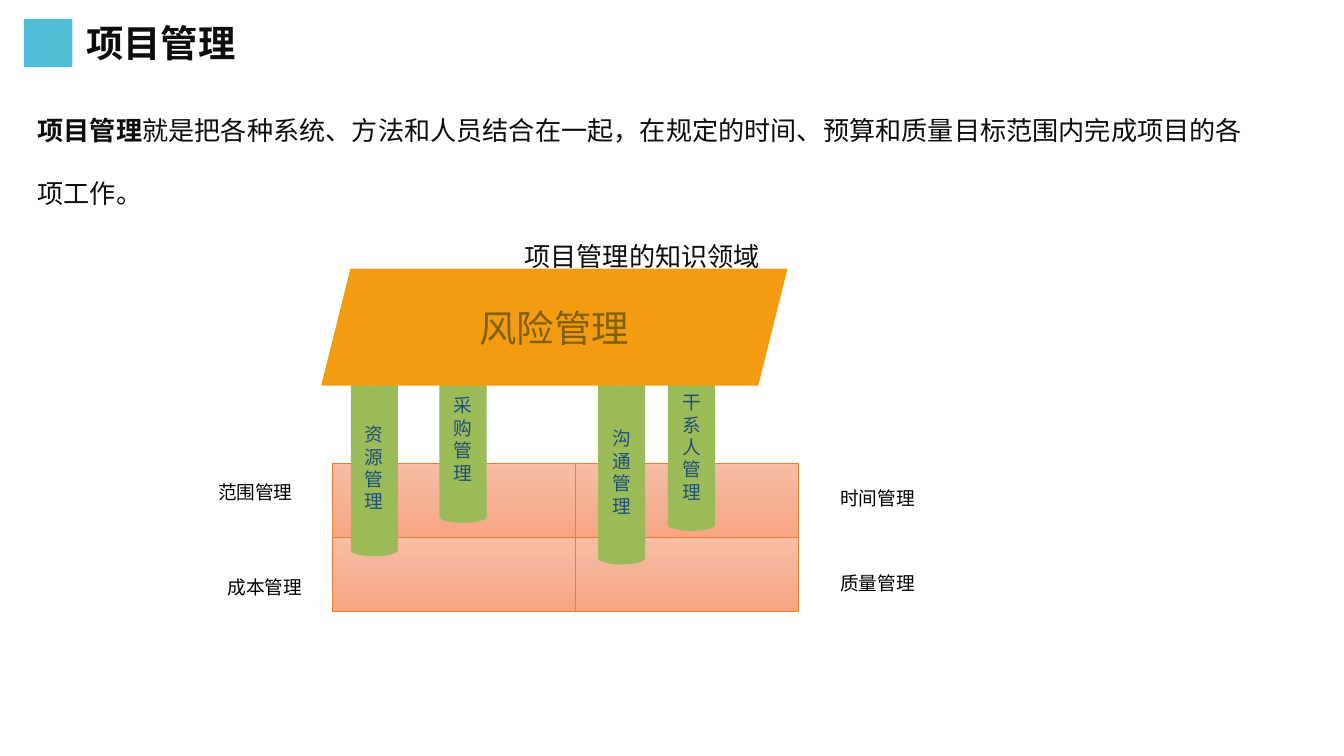
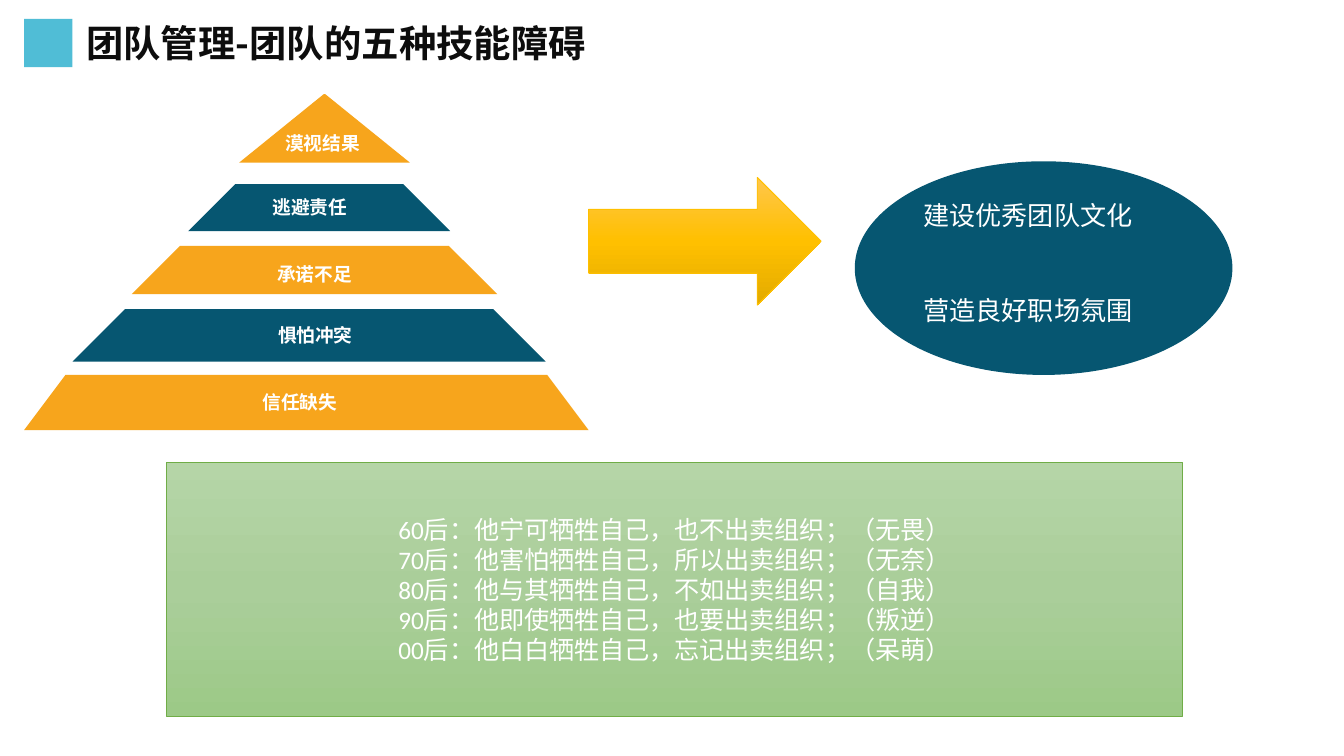
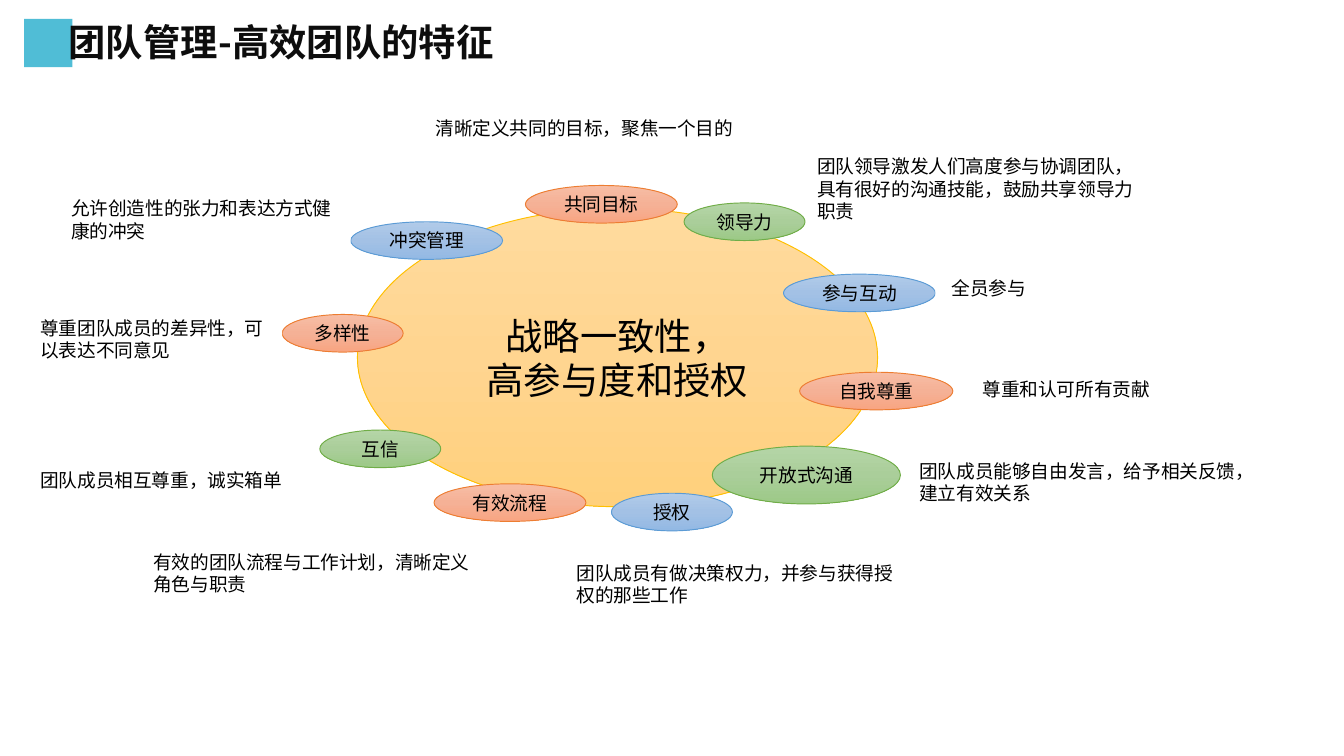
"""Build three slides on project management and team management."""
from copy import deepcopy

from lxml import etree
from pptx import Presentation
from pptx.dml.color import RGBColor
from pptx.enum import shapes, text
from pptx.oxml.ns import qn
from pptx.util import Inches, Pt

SHAPE = shapes.MSO_SHAPE
ALIGN = text.PP_ALIGN
ANCHOR = text.MSO_ANCHOR
CJK_FONT = "Noto Sans CJK SC"
INK, BLACK, WHITE = "0D0D0D", "000000", "FFFFFF"
TEAL, AMBER, ROOF, PILLAR = "065671", "F7A51C", "F39C12", "9BBB59"
GRADIENTS = {
    "orange": (("F7BDA5", "F5B196", "F8A582"), "ED7D31"),
    "green": (("B5D5A7", "AACE9A", "9CC987"), "70AD47"),
    "blue": (("B1CBE9", "A3C1E5", "93B9E4"), "5B9BD5"),
    "gold": (("FFC64B", "FFC000", "E3AB00"), "FFC000"),
    "pale gold": (("FFDB9E", "FFD590", "FFD07C"), "FFC000"),
}


def rgb(value):
    """Turn a hex string into a colour."""
    return RGBColor.from_string(value)


def place(shape, box):
    """Move and size a shape from left, top, width and height in inches."""
    for name, value in zip(("left", "top", "width", "height"), box):
        setattr(shape, name, Inches(value))


def format_run(run, color, font_name=CJK_FONT, **formats):
    """Apply font values and the East Asian typeface to a run."""
    for name, value in {"name": font_name, **formats}.items():
        setattr(run.font, name, value)
    run.font.color.rgb = rgb(color)
    latin = run.font._element.find(qn("a:latin"))
    east_asian = etree.Element(qn("a:ea"), typeface=CJK_FONT)
    latin.addnext(east_asian)


def write(frame, lines, size=10, color=BLACK, bold=False, align=ALIGN.CENTER,
          anchor=ANCHOR.MIDDLE, gap=0, font_name=CJK_FONT):
    """Write each line as a paragraph, with a gap in points between them."""
    frame_formats = {"word_wrap": True, "vertical_anchor": anchor,
                     "auto_size": text.MSO_AUTO_SIZE.NONE}
    for name, value in frame_formats.items():
        setattr(frame, name, value)
    for index, line in enumerate(lines):
        paragraph = frame.add_paragraph() if index else frame.paragraphs[0]
        paragraph.alignment = align
        paragraph.space_before = Pt(gap if index else 0)
        run = paragraph.add_run()
        run.text = line
        format_run(run, color, font_name, size=Pt(size), bold=bold)


def paint(shape, fill):
    """Fill a shape with a named gradient and outline, or a plain colour."""
    shape.shadow.inherit = False
    if fill not in GRADIENTS:
        shape.fill.solid()
        shape.fill.fore_color.rgb = rgb(fill)
        shape.line.fill.background()
        return
    colors, line_color = GRADIENTS[fill]
    shape.fill.gradient()
    shape.fill.gradient_angle = 270
    stops = shape.element.spPr.find(".//" + qn("a:gsLst"))
    stops.insert(1, deepcopy(stops[0]))
    for index, (stop, color) in enumerate(zip(shape.fill.gradient_stops, colors)):
        stop.position = index / 2
        stop.color.rgb = rgb(color)
    shape.line.color.rgb = rgb(line_color)
    shape.line.width = Pt(0.5)


def add_block(slide, kind, box, fill, lines=(), adjustment=None, **formats):
    """Add a filled preset shape with optional text."""
    shape = slide.shapes.add_shape(kind, *map(Inches, box))
    paint(shape, fill)
    if adjustment is not None:
        shape.adjustments[0] = adjustment
    if lines:
        write(shape.text_frame, lines, **formats)
    return shape


def add_trapezoid(slide, box, inset, fill):
    """Add a pyramid layer whose top edge is inset on both sides."""
    left, top, width, height = box
    right, bottom = left + width, top + height
    corners = [(left + inset, top), (right - inset, top), (right, bottom), (left, bottom)]
    points = [(Inches(x), Inches(y)) for x, y in corners]
    builder = slide.shapes.build_freeform(*points[0])
    builder.add_line_segments(points[1:])
    paint(builder.convert_to_shape(), fill)


def add_label(slide, box, line):
    """Add a bold white caption."""
    label = slide.shapes.add_textbox(*map(Inches, box))
    write(label.text_frame, [line], color=WHITE, bold=True, anchor=ANCHOR.TOP)


def add_titled_slide(presentation, title, layout=5, left=0.54, top=0.1):
    """Add a slide with the blue square behind its title."""
    slide = presentation.slides.add_slide(presentation.slide_layouts[layout])
    square = add_block(slide, SHAPE.RECTANGLE, (0.18, 0.14, 0.36, 0.36), "06A1C6")
    color = square.element.spPr.find(qn("a:solidFill"))[0]
    etree.SubElement(color, qn("a:alpha"), val="70000")
    slide.shapes.title.element.addprevious(square.element)
    place(slide.shapes.title, (left, top, 9.21, 0.44))
    write(slide.shapes.title.text_frame, [title], size=20, color=INK, bold=True,
          align=ALIGN.LEFT)
    return slide


def fill_definition(body):
    """Write the definition and the diagram heading without bullets."""
    place(body, (0.18, 0.57, 9.2, 1.51))
    frame = body.text_frame
    write(frame, ["项目管理", "项目管理的知识领域"], size=14, color=INK,
          anchor=ANCHOR.TOP)
    definition, heading = frame.paragraphs
    definition.runs[0].font.bold = True
    definition.alignment = ALIGN.LEFT
    run = definition.add_run()
    run.text = ("就是把各种系统、方法和人员结合在一起，在规定的时间、预算和质量"
                "目标范围内完成项目的各项工作。")
    format_run(run, INK, size=Pt(14), bold=False)
    for paragraph in (definition, heading):
        paragraph.line_spacing = 2.0
        properties = paragraph._p.get_or_add_pPr()
        properties.set("marL", "0")
        properties.set("indent", "0")
        etree.SubElement(properties, qn("a:buNone"))


def build_knowledge_areas(presentation):
    """Build the house of project management knowledge areas."""
    slide = add_titled_slide(presentation, "项目管理", layout=1)
    fill_definition(slide.placeholders[1])
    for top in (3.45, 4):
        for left, width in ((2.47, 1.81), (4.28, 1.66)):
            add_block(slide, SHAPE.RECTANGLE, (left, top, width, 0.55), "orange")
    pillars = [
        ("干系人管理", 4.97, 2.66, 1.29),
        ("沟通管理", 4.45, 2.78, 1.42),
        ("采购管理", 3.27, 2.6, 1.29),
        ("资源管理", 2.61, 2.78, 1.36),
    ]
    for name, left, top, height in pillars:
        add_block(slide, SHAPE.CAN, (left, top, 0.35, height), PILLAR, [name],
                  color="1F4E79")
    add_block(slide, SHAPE.PARALLELOGRAM, (2.39, 2, 3.47, 0.87), ROOF, ["风险管理"],
              size=20, color="806000")
    areas = [
        ("范围管理", 1.48, 3.45),
        ("时间管理", 6.11, 3.49),
        ("成本管理", 1.55, 4.15),
        ("质量管理", 6.11, 4.12),
    ]
    for name, left, top in areas:
        area = add_block(slide, SHAPE.ROUNDED_RECTANGLE, (left, top, 0.84, 0.43), WHITE,
                         [name], adjustment=0.31)
        area.text_frame.margin_left = area.text_frame.margin_right = Inches(0.05)


def build_dysfunctions(presentation):
    """Build the pyramid of team dysfunctions and its remedy."""
    slide = add_titled_slide(presentation, "团队管理-团队的五种技能障碍")
    layers = [
        ((1.78, 0.7, 1.27, 0.51), 0.63, AMBER),
        ((1.4, 1.37, 1.95, 0.35), 0.35, TEAL),
        ((0.98, 1.83, 2.72, 0.36), 0.36, AMBER),
        ((0.54, 2.3, 3.52, 0.39), 0.39, TEAL),
    ]
    for box, inset, fill in layers:
        add_trapezoid(slide, box, inset, fill)
    add_block(slide, SHAPE.TRAPEZOID, (0.18, 2.79, 4.2, 0.41), AMBER, adjustment=0.75)
    captions = [
        ("漠视结果", 1.97, 0.93, 0.86),
        ("逃避责任", 1.53, 1.41, 1.55),
        ("承诺不足", 1.24, 1.91, 2.2),
        ("惧怕冲突", 0.87, 2.36, 2.95),
        ("信任缺失", 1.13, 2.86, 2.2),
    ]
    for caption, left, top, width in captions:
        add_label(slide, (left, top, width, 0.27), caption)
    add_block(slide, SHAPE.RIGHT_ARROW, (4.38, 1.32, 1.73, 0.95), "gold")
    add_block(slide, SHAPE.OVAL, (6.36, 1.2, 2.81, 1.59), TEAL,
              ["建设优秀团队文化", "营造良好职场氛围"], size=14, color=WHITE,
              align=ALIGN.LEFT, anchor=ANCHOR.TOP, gap=34)
    generations = [
        "60后：他宁可牺牲自己，也不出卖组织；（无畏）",
        "70后：他害怕牺牲自己，所以出卖组织；（无奈）",
        "80后：他与其牺牲自己，不如出卖组织；（自我）",
        "90后：他即使牺牲自己，也要出卖组织；（叛逆）",
        "00后：他白白牺牲自己，忘记出卖组织；（呆萌）",
    ]
    add_block(slide, SHAPE.RECTANGLE, (1.24, 3.44, 7.56, 1.89), "green", generations,
              size=13.5, color=WHITE, font_name="Calibri")


def build_team_traits(presentation):
    """Build the ring of traits of an effective team."""
    slide = add_titled_slide(presentation, "团队管理-高效团队的特征", left=0.41, top=0.09)
    add_block(slide, SHAPE.OVAL, (2.66, 1.55, 3.87, 2.22), "pale gold",
              ["战略一致性，", "高参与度和授权"], size=20)
    traits = [
        ("共同目标", "orange", (3.91, 1.38, 1.13, 0.28),
         "清晰定义共同的目标，聚焦一个目的", (3.12, 0.73, 2.72)),
        ("领导力", "green", (5.09, 1.51, 0.9, 0.28),
         "团队领导激发人们高度参与协调团队，具有很好的沟通技能，鼓励共享领导力职责",
         (5.96, 1.18, 2.72)),
        ("参与互动", "blue", (5.83, 2.04, 1.13, 0.28), "全员参与", (6.96, 1.92, 2.72)),
        ("自我尊重", "orange", (5.95, 2.77, 1.14, 0.28),
         "尊重和认可所有贡献", (7.19, 2.67, 2.72)),
        ("开放式沟通", "green", (5.3, 3.32, 1.4, 0.43),
         "团队成员能够自由发言，给予相关反馈，建立有效关系", (6.72, 3.36, 2.72)),
        ("授权", "blue", (4.55, 3.67, 0.9, 0.28),
         "团队成员有做决策权力，并参与获得授权的那些工作", (4.17, 4.12, 2.72)),
        ("有效流程", "orange", (3.23, 3.6, 1.13, 0.28),
         "有效的团队流程与工作计划，清晰定义角色与职责", (1.02, 4.04, 2.72)),
        ("互信", "green", (2.38, 3.2, 0.9, 0.28),
         "团队成员相互尊重，诚实箱单", (0.18, 3.35, 2.2)),
        ("多样性", "orange", (2.1, 2.34, 0.9, 0.28),
         "尊重团队成员的差异性，可以表达不同意见", (0.18, 2.3, 1.92)),
        ("冲突管理", "blue", (2.61, 1.65, 1.13, 0.28),
         "允许创造性的张力和表达方式健康的冲突", (0.41, 1.41, 2.2)),
    ]
    for name, fill, box, note, note_place in traits:
        add_block(slide, SHAPE.OVAL, box, fill, [name])
        add_block(slide, SHAPE.ROUNDED_RECTANGLE, (*note_place, 0.45), WHITE, [note],
                  align=ALIGN.LEFT)


def main():
    """Create the presentation and save it."""
    presentation = Presentation()
    presentation.slide_width = Inches(10)
    presentation.slide_height = presentation.slide_width * 9 // 16
    build_knowledge_areas(presentation)
    build_dysfunctions(presentation)
    build_team_traits(presentation)
    presentation.save("out.pptx")


if __name__ == "__main__":
    main()
